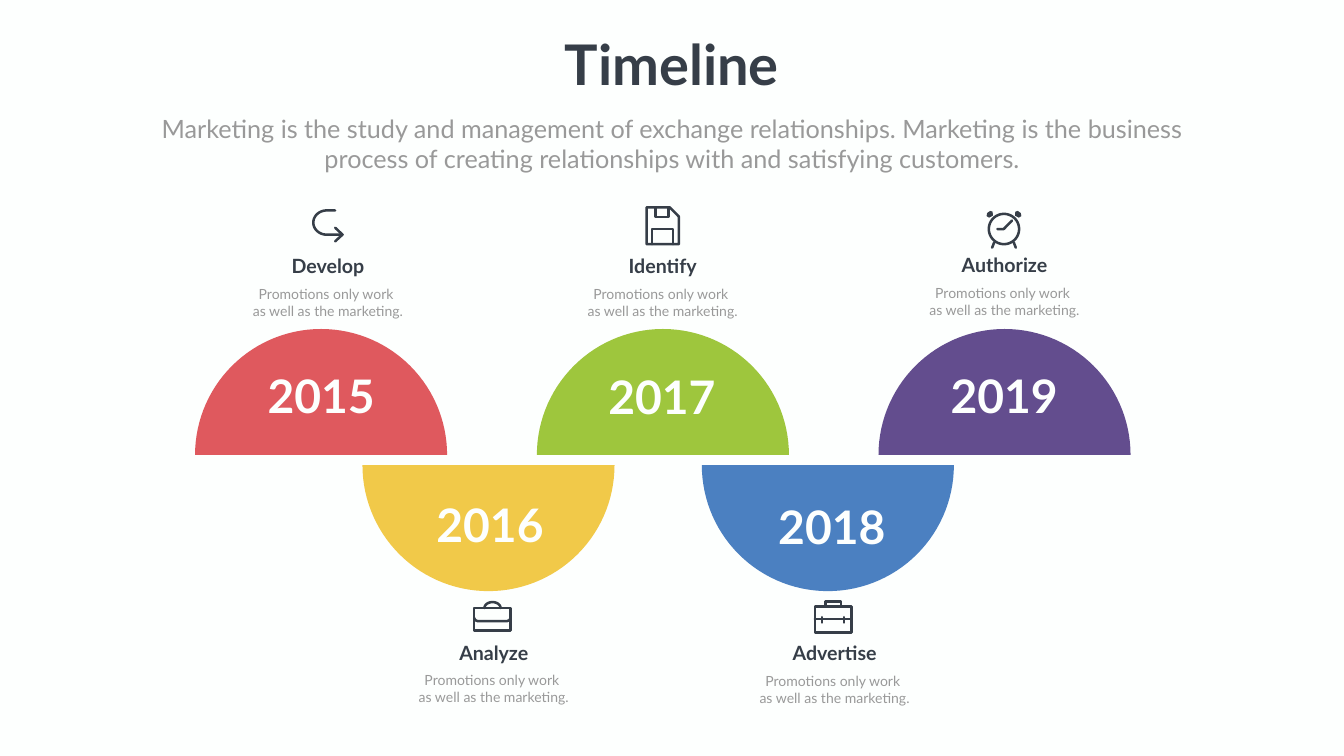
from dataclasses import dataclass
from math import cos, radians, sin

from pptx import Presentation
from pptx.dml.color import RGBColor
from pptx.enum.text import MSO_AUTO_SIZE, PP_ALIGN
from pptx.oxml.ns import qn
from pptx.util import Pt

Point = tuple[float, float]

COLORS = {
    "paper": "FDFFFE",
    "ink": "363E48",
    "grey": "999999",
    "red": "DF595E",
    "yellow": "F1C949",
    "green": "9EC63D",
    "blue": "4B80C1",
    "purple": "634D8E",
}
FONT = "Lato"
RADIUS = 180
UPPER_BASE, LOWER_BASE = 650, 664.5
ICON_STROKE = 3.6
PROMISE = ["Promotions only work ", "as well as the marketing."]


@dataclass(frozen=True)
class Icon:
    left: float
    top: float
    strokes: list[list[Point]]
    loops: list[list[Point]]
    solids: list[list[Point]]


@dataclass(frozen=True)
class Milestone:
    year: str
    heading: str
    color: str
    upper: bool
    disc_center: float
    year_center: float
    year_top: float
    heading_center: float
    heading_top: float
    icon: Icon


def arc(cx: float, cy: float, rx: float, ry: float, start: int, end: int) -> list[Point]:
    """Points along an ellipse, in degrees clockwise from the right."""
    step = 3 if end > start else -3
    return [(cx + rx * cos(radians(a)), cy + ry * sin(radians(a)))
            for a in range(start, end + step, step)]


def box(left: float, top: float, right: float, bottom: float) -> list[Point]:
    return [(left, top), (right, top), (right, bottom), (left, bottom)]


def mirror(points: list[Point], axis: float) -> list[Point]:
    return [(2 * axis - x, y) for x, y in points]


CLOCK_X = 23.4
CLOCK_LEG = [(9.4, 42.5), (6.5, 50)]
CLOCK_BELL = [(39.6, -1.4), (43.2, -2.5), (47.5, 0.7), (48.2, 5), (44.6, 7.2), (39.2, 4.3)]

RETURN_ARROW = Icon(
    445.7, 298.8,
    [[(33, 1.8), *arc(20.9, 19.1, 19.1, 17.3, 270, 90), (43.5, 36.4)],
     [(33, 26.5), (43.5, 36.4), (33, 46)]],
    [], [])
FLOPPY_DISK = Icon(
    921.6, 294.5,
    [[(14.8, 1.8), (14.8, 15.5), (32.8, 15.5), (32.8, 1.8)],
     [(9.7, 54.4), (9.7, 32.8), (39.6, 32.8), (39.6, 54.4)]],
    [[(1.8, 1.8), (35, 1.8), (48, 15), (48, 54.4), (1.8, 54.4)]], [])
ALARM_CLOCK = Icon(
    1410.5, 303.8,
    [[(14, 23.4), (23.1, 23.4), (34.9, 11.2)], CLOCK_LEG, mirror(CLOCK_LEG, CLOCK_X)],
    [arc(CLOCK_X, 23.4, 21.6, 21.6, 0, 357)],
    [CLOCK_BELL, mirror(CLOCK_BELL, CLOCK_X)])
SOFT_BRIEFCASE = Icon(
    675.4, 858.2,
    [arc(28, 10.4, 11.5, 8.4, 180, 360),
     [(1.8, 24.5), (3.3, 27.8), (7, 29.2), (48.6, 29.2), (52.3, 27.8), (53.8, 24.5)]],
    [box(1.8, 10.4, 53.8, 42.8)], [])
HARD_BRIEFCASE = Icon(
    1162.1, 856.8,
    [[(16.9, 9.7), (16.9, 2.2), (39.2, 2.2), (39.2, 9.7)],
     [(1.8, 27.7), (54.3, 27.7)],
     [(11.9, 24.8), (11.9, 32.6)],
     [(43.6, 24.8), (43.6, 32.6)]],
    [box(1.8, 9.7, 54.3, 46.4)], [])

MILESTONES = [
    Milestone("2015", "Develop", "red", True, 458.6, 458.6, 521.3, 468.4, 359.3, RETURN_ARROW),
    Milestone("2016", "Analyze", "yellow", False, 697.7, 699.8, 705.6, 705.2, 911.5, SOFT_BRIEFCASE),
    Milestone("2017", "Identify", "green", True, 946.8, 945.4, 522.7, 946.4, 359.3, FLOPPY_DISK),
    Milestone("2018", "Advertise", "blue", False, 1182.4, 1188, 707.8, 1192, 912.2, HARD_BRIEFCASE),
    Milestone("2019", "Authorize", "purple", True, 1434.7, 1434.2, 520.6, 1434.6, 358.2, ALARM_CLOCK),
]


def rgb(name: str) -> RGBColor:
    return RGBColor.from_string(COLORS[name])


def add_outline(slide, points: list[Point], close: bool):
    scaled = [(Pt(x), Pt(y)) for x, y in points]
    builder = slide.shapes.build_freeform(*scaled[0])
    builder.add_line_segments(scaled[1:], close=close)
    outline = builder.convert_to_shape()
    outline.shadow.inherit = False
    return outline


def add_solid(slide, points: list[Point], color: str) -> None:
    solid = add_outline(slide, points, True)
    solid.fill.solid()
    solid.fill.fore_color.rgb = rgb(color)
    solid.line.fill.background()


def add_stroke(slide, points: list[Point], close: bool) -> None:
    """Draw an unfilled, round-capped line in the ink colour."""
    stroke = add_outline(slide, points, close)
    stroke.fill.background()
    stroke.line.color.rgb = rgb("ink")
    stroke.line.width = Pt(ICON_STROKE)
    stroke._element.spPr.find(qn("a:ln")).set("cap", "rnd")


def add_icon(slide, icon: Icon) -> None:
    def placed(points: list[Point]) -> list[Point]:
        return [(icon.left + x, icon.top + y) for x, y in points]

    for points in icon.strokes:
        add_stroke(slide, placed(points), False)
    for points in icon.loops:
        add_stroke(slide, placed(points), True)
    for points in icon.solids:
        add_solid(slide, placed(points), "ink")


def add_half_disc(slide, milestone: Milestone) -> None:
    base, start = (UPPER_BASE, 180) if milestone.upper else (LOWER_BASE, 0)
    rim = arc(milestone.disc_center, base, RADIUS, RADIUS, start, start + 180)
    add_solid(slide, rim, milestone.color)


def add_text(slide, lines: list[str], center: float, top: float, width: float, height: float,
             size: float, color: str, bold: bool = False, wrap: bool = True) -> None:
    textbox = slide.shapes.add_textbox(Pt(center - width / 2), Pt(top), Pt(width), Pt(height))
    frame = textbox.text_frame
    frame.word_wrap = wrap
    frame.auto_size = MSO_AUTO_SIZE.SHAPE_TO_FIT_TEXT
    for index, line in enumerate(lines):
        paragraph = frame.add_paragraph() if index else frame.paragraphs[0]
        paragraph.alignment = PP_ALIGN.CENTER
        run = paragraph.add_run()
        run.text = line
        run.font.name = FONT
        run.font.size = Pt(size)
        run.font.bold = bold
        run.font.color.rgb = rgb(color)


def main() -> None:
    deck = Presentation()
    deck.slide_width, deck.slide_height = Pt(1919.52), Pt(1080)
    slide = deck.slides.add_slide(deck.slide_layouts[6])
    slide.background.fill.solid()
    slide.background.fill.fore_color.rgb = rgb("paper")

    add_text(slide, ["Timeline"], 959.5, 38.9, 326, 104.4, 80, "ink", bold=True, wrap=False)
    add_text(slide, ["Marketing is the study and management of exchange relationships. "
                     "Marketing is the business process of creating relationships with "
                     "and satisfying customers."],
             959.8, 157.7, 1533.6, 94.3, 36, "grey")

    for step in MILESTONES:
        add_half_disc(slide, step)
        add_icon(slide, step.icon)
        add_text(slide, [step.heading], step.heading_center, step.heading_top,
                 150.5, 41, 28, "ink", bold=True)
        add_text(slide, PROMISE, step.heading_center, step.heading_top + 44.6,
                 232.6, 55.4, 20, "grey")
        add_text(slide, [step.year], step.year_center, step.year_top,
                 262, 87.1, 66, "paper", bold=True)

    deck.save("out.pptx")


if __name__ == "__main__":
    main()
